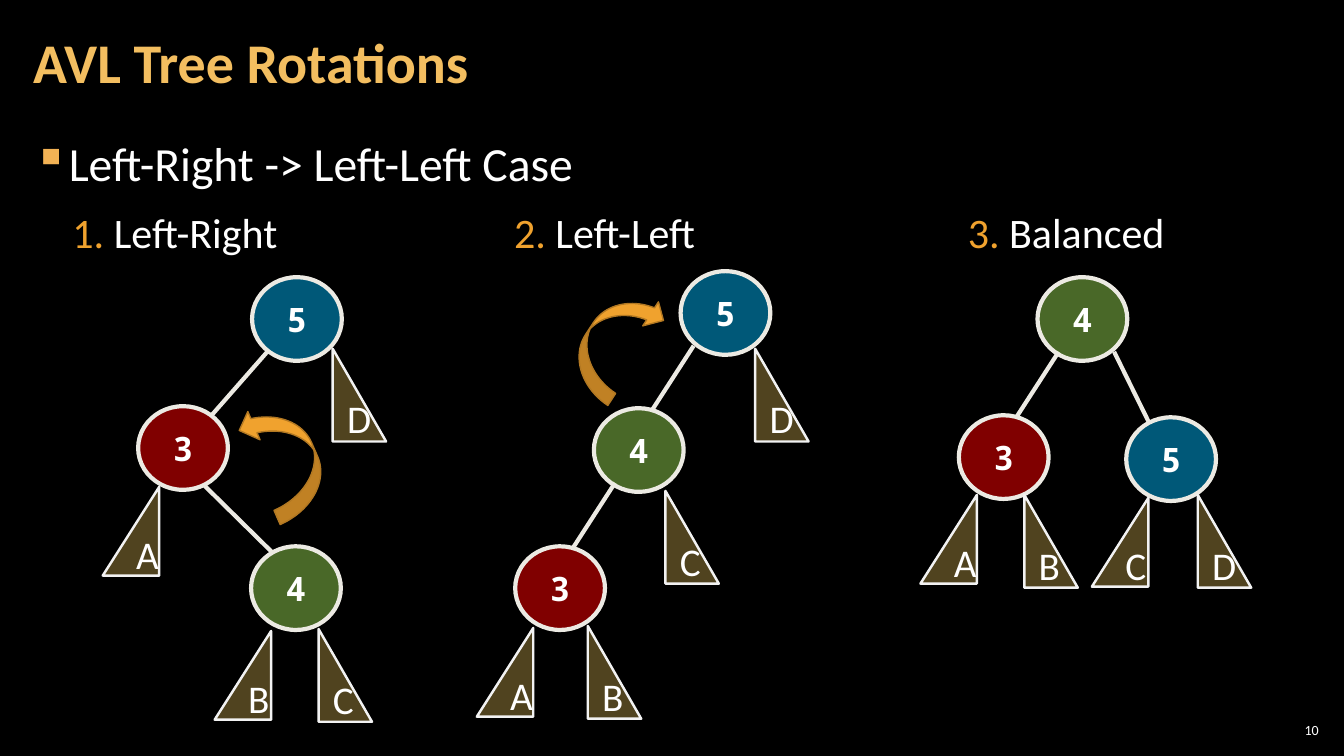
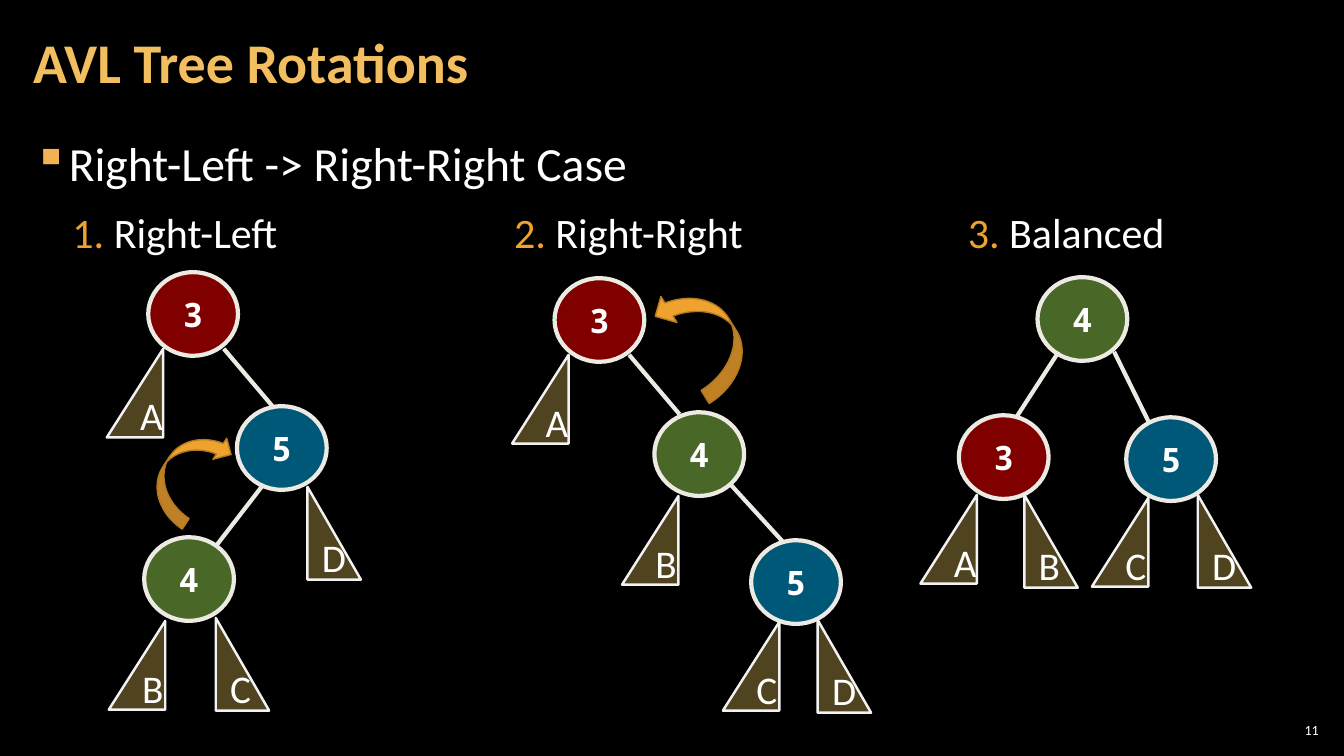
"""Build two slides on AVL tree double rotations."""
import pptx
import pptx.util
import pptx.oxml
import pptx.oxml.ns
import pptx.dml.color
import pptx.enum.shapes
import pptx.enum.text

Inches, Pt = pptx.util.Inches, pptx.util.Pt
SHAPE = pptx.enum.shapes.MSO_SHAPE
ALIGN = pptx.enum.text.PP_ALIGN
ANCHOR = pptx.enum.text.MSO_ANCHOR
qn = pptx.oxml.ns.qn


class Theme:
    """Shared colours, fonts and sizes."""
    back, white = "000000", "FFFFFF"
    title, bullet, amber, rim = "F3BE60", "F2B254", "F0A22E", "B27822"
    edge, leaf, side = "ECEAE3", "F3CD60", "F2F2F2"
    nodes = {"3": "FF0000", "4": "92D050", "5": "00B0F0"}
    sans, mono = "Calibri", "Noto Sans Mono"
    big, lead, head, label, key, small = 40, 34, 30, 28, 24, 10
    node = (0.89, 0.83)
    left, right = (0.56, 0.88), (0.53, 0.92)


TITLE = "AVL Tree Rotations"
FIRST = 10
HEADS = (0.62, 5, 9.5)
UP, DOWN = SHAPE.CURVED_UP_ARROW, SHAPE.CURVED_DOWN_ARROW

FINAL = {
    "name": "Balanced",
    "nodes": [("5", 11.17, 4.14), ("3", 9.51, 4.12), ("4", 10.29, 2.75)],
    "edges": [(10.5, 3.49, 10.08, 4.14), (11.4, 4.2, 11.05, 3.49)],
    "left": [("A", 9.13, 4.91), ("C", 10.83, 4.94)],
    "right": [("B", 10.16, 4.91), ("D", 11.88, 4.91)],
    "turns": [],
}
SLIDES = [
    ("Left-Right -> Left-Left Case", [
        {
            "name": "Left-Right",
            "nodes": [("5", 2.5, 2.75), ("3", 1.37, 4.03), ("4", 2.49, 5.42)],
            "edges": [(2.66, 3.48, 2.09, 4.13), (2.03, 4.82, 2.69, 5.47)],
            "left": [("A", 1.02, 4.83), ("B", 2.13, 6.26)],
            "right": [("D", 3.3, 3.46), ("C", 3.16, 6.24)],
            "turns": [(UP, 2.24, 4.24, 1.17, 0.61, 246.5)],
        },
        {
            "name": "Left-Left",
            "nodes": [("5", 6.75, 2.69), ("3", 5.11, 5.42), ("4", 5.89, 4.05)],
            "edges": [(6.1, 4.79, 5.68, 5.44), (6.88, 3.43, 6.46, 4.08)],
            "left": [("A", 4.73, 6.23)],
            "right": [("B", 5.83, 6.21), ("C", 6.6, 4.87), ("D", 7.49, 3.46)],
            "turns": [(DOWN, 5.53, 3.1, 1.15, 0.57, 303.2)],
        },
        FINAL,
    ]),
    ("Right-Left -> Right-Right Case", [
        {
            "name": "Right-Left",
            "nodes": [("5", 2.35, 4.03), ("3", 1.47, 2.7), ("4", 1.43, 5.33)],
            "edges": [(2.22, 3.46, 2.72, 4.05), (2.61, 4.81, 2.14, 5.42)],
            "left": [("A", 1.06, 3.46), ("B", 1.08, 6.16)],
            "right": [("D", 3.05, 4.83), ("C", 2.14, 6.13)],
            "turns": [(DOWN, 1.37, 4.44, 1.01, 0.5, 303.2)],
        },
        {
            "name": "Right-Right",
            "nodes": [("5", 7.45, 5.36), ("3", 5.5, 2.76), ("4", 6.49, 4.09)],
            "edges": [(6.24, 3.52, 6.74, 4.11), (7.24, 4.8, 7.77, 5.38)],
            "left": [("A", 5.08, 3.52), ("B", 6.17, 4.92), ("C", 7.17, 6.17)],
            "right": [("D", 8.11, 6.15)],
            "turns": [(UP, 6.4, 3.04, 1.17, 0.61, 238.2)],
        },
        FINAL,
    ]),
]


def rgb(code):
    """Turn a hex code into a colour."""
    return pptx.dml.color.RGBColor.from_string(code)


def style(font, size, color=Theme.white, face=Theme.sans, bold=False):
    """Format one font."""
    font.size, font.name, font.bold = Pt(size), face, bold
    font.color.rgb = rgb(color)


def write(slide, box, parts, size, bold=False, inset=(0.1, 0.05), anchor=ANCHOR.TOP):
    """Add a text box whose runs are (text, colour) pairs."""
    frame = slide.shapes.add_textbox(*map(Inches, box)).text_frame
    frame.word_wrap, frame.vertical_anchor = True, anchor
    frame.margin_left = frame.margin_right = Inches(inset[0])
    frame.margin_top = frame.margin_bottom = Inches(inset[1])
    para = frame.paragraphs[0]
    for text, color in parts:
        run = para.add_run()
        run.text = text
        style(run.font, size, color, bold=bold)
    return para


def draw(slide, kind, box, fill, line, width, alpha=100):
    """Add a filled preset shape."""
    shape = slide.shapes.add_shape(kind, *map(Inches, box))
    shape.shadow.inherit = False
    shape.fill.solid()
    shape.fill.fore_color.rgb = rgb(fill)
    if alpha < 100:
        tint = shape.element.spPr.find(qn("a:solidFill"))[0]
        tint.append(tint.makeelement(qn("a:alpha"), {"val": str(alpha * 1000)}))
    shape.line.color.rgb, shape.line.width = rgb(line), Pt(width)
    return shape


def mark(shape, text, size, face=Theme.sans, bold=False):
    """Put a centred label in a shape."""
    frame = shape.text_frame
    frame.text = text
    frame.vertical_anchor = ANCHOR.MIDDLE
    para = frame.paragraphs[0]
    para.alignment = ALIGN.CENTER
    style(para.runs[0].font, size, face=face, bold=bold)


def link(slide, ends):
    """Draw a tree edge."""
    line = slide.shapes.add_connector(
        pptx.enum.shapes.MSO_CONNECTOR.STRAIGHT, *map(Inches, ends))
    line.line.color.rgb, line.line.width = rgb(Theme.edge), Pt(3)
    props = line.element.spPr
    props.append(props.makeelement(qn("a:effectLst"), {}))


def plant(slide, tree):
    """Draw one tree with its subtrees and turn arrow."""
    for ends in tree["edges"]:
        link(slide, ends)
    for key, x, y in tree["nodes"]:
        node = draw(slide, SHAPE.OVAL, (x, y, *Theme.node), Theme.nodes[key], Theme.edge, 3, 50)
        mark(node, key, Theme.key, Theme.mono, True)
        node.text_frame.word_wrap = False
    for kind, *box, angle in tree["turns"]:
        draw(slide, kind, box, Theme.amber, Theme.rim, 1).rotation = angle
    for side, size in (("left", Theme.left), ("right", Theme.right)):
        for name, x, y in tree[side]:
            leaf = draw(slide, SHAPE.RIGHT_TRIANGLE, (x, y, *size), Theme.leaf, Theme.side, 1.75, 33)
            mark(leaf, name, Theme.label)
            if side == "left":
                leaf.element.spPr.find(qn("a:xfrm")).set("flipH", "1")


def dot(para):
    """Give a paragraph the square bullet."""
    props = para._p.get_or_add_pPr()
    props.set("marL", str(Inches(0.33)))
    props.set("indent", str(-Inches(0.33)))
    tint = props.makeelement(qn("a:buClr"), {})
    tint.append(tint.makeelement(qn("a:srgbClr"), {"val": Theme.bullet}))
    props.append(tint)
    props.append(props.makeelement(qn("a:buChar"), {"char": "▪"}))


def frame(slide, number, lead):
    """Add the background, title, lead line and slide number."""
    slide.background.fill.solid()
    slide.background.fill.fore_color.rgb = rgb(Theme.back)
    para = write(slide, (12.65, 7.14, 0.47, 0.21), [(str(number), Theme.white)],
                 Theme.small, inset=(0.04, 0.04), anchor=ANCHOR.MIDDLE)
    para.alignment = ALIGN.RIGHT
    para = write(slide, (0.21, 1.26, 12.91, 0.74), [(lead, Theme.white)],
                 Theme.lead, inset=(0.12, 0.04))
    dot(para)
    para.line_spacing = 1.05
    para = write(slide, (0.21, 0.04, 10.47, 1.21), [(TITLE, Theme.title)],
                 Theme.big, True, (0.12, 0.04), ANCHOR.MIDDLE)
    para.line_spacing = 0.9


def main():
    """Build and save the deck."""
    deck = pptx.Presentation()
    deck.slide_width, deck.slide_height = Inches(13.33), Inches(7.5)
    for number, (lead, trees) in enumerate(SLIDES, FIRST):
        slide = deck.slides.add_slide(deck.slide_layouts[6])
        frame(slide, number, lead)
        for step, (x, tree) in enumerate(zip(HEADS, trees), 1):
            plant(slide, tree)
            write(slide, (x, 2, 2.58, 0.61),
                  [(f"{step}. ", Theme.amber), (tree["name"], Theme.white)], Theme.head)
    deck.save("out.pptx")


if __name__ == "__main__":
    main()
